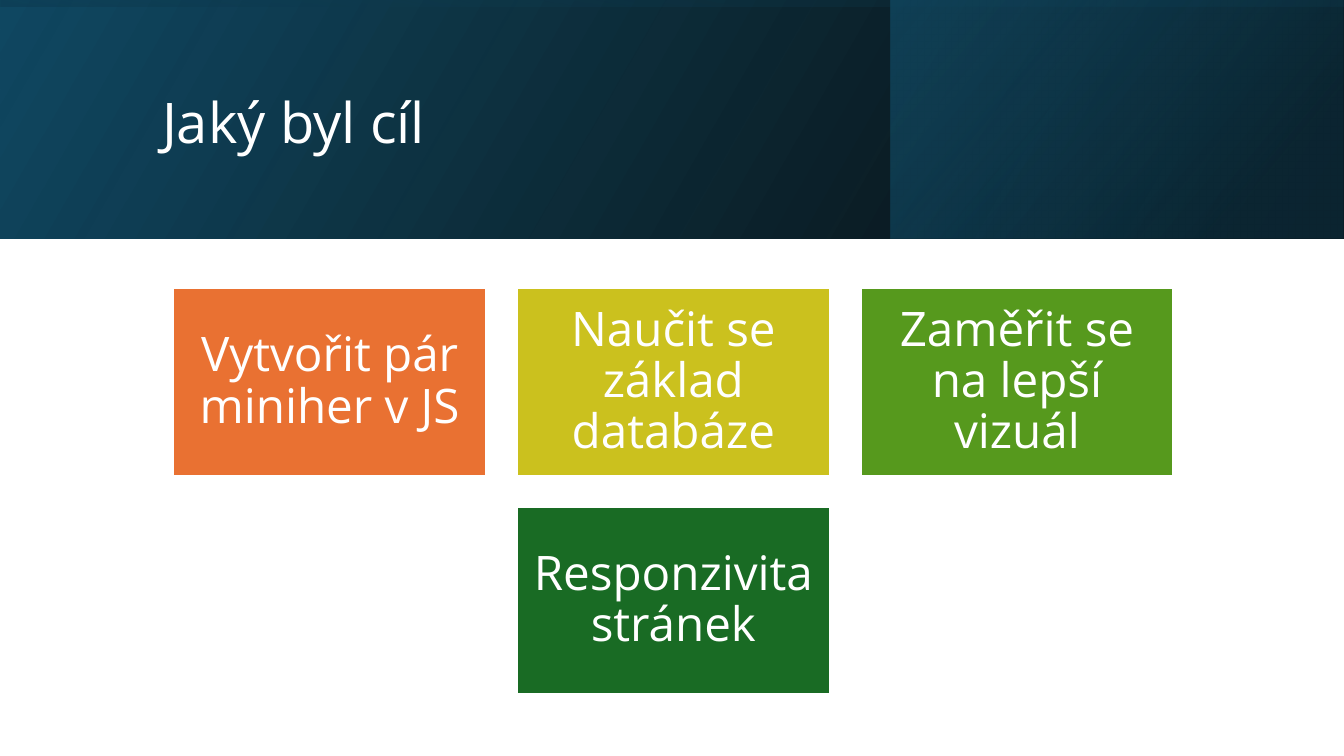
import pptx
import pptx.util
import pptx.oxml
import pptx.dml.color
import pptx.enum.text
import pptx.enum.shapes
from pptx.oxml.ns import nsdecls

Pt = pptx.util.Pt
RGB = pptx.dml.color.RGBColor.from_string
RECT = pptx.enum.shapes.MSO_SHAPE.RECTANGLE
ALIGN = pptx.enum.text.PP_ALIGN
MIDDLE = pptx.enum.text.MSO_ANCHOR.MIDDLE

TITLE = "Jaký byl cíl"
ROWS = [
    [("Vytvořit pár miniher v JS", "orange"),
     ("Naučit se základ databáze", "lime"),
     ("Zaměřit se na lepší vizuál", "green")],
    [("Responzivita stránek", "forest")],
]
THEME = {
    "font": "Open Sans", "title": 40, "tile": 34,
    "white": "FFFFFF", "black": "000000", "teal": "104862",
    "navy": "0B3041", "blue": "156082",
    "orange": "E97132", "lime": "CBC11E", "green": "56991D", "forest": "196B24",
}
WIDE, HIGH = 960, 540
BAND, SEAM = 170.64, 636.5
LAYERS = [
    ((0, 0, WIDE, BAND), 0, 330, [(0, "black", 96), (100, "teal", 100)]),
    ((SEAM, 0, WIDE - SEAM, BAND), 0, 320, [(19, "navy", 68), (100, "blue", 48)]),
    (((WIDE - BAND) / 2, (BAND - WIDE) / 2, BAND, WIDE), 270, 350,
     [(23, "teal", 16), (99, "black", 45)]),
]
HEAD = (108.7, 27.4, 765.4, 123.8)
MID, TOP = 481, 206
TILE_W, TILE_H, GAP = 223.2, 133.9, 22.3
INSET = 10.1


def add_rect(slide, box):
    shape = slide.shapes.add_shape(RECT, *map(Pt, box))
    shape.shadow.inherit = False
    return shape


def add_layer(slide, box, turn, angle, stops):
    shape = add_rect(slide, box)
    shape.line.fill.background()
    shape.rotation = turn
    props = shape.element.spPr
    props.xfrm.set("flipH", "1")
    marks = "".join(
        f'<a:gs pos="{pos * 1000}"><a:srgbClr val="{THEME[tone]}">'
        f'<a:alpha val="{alpha * 1000}"/></a:srgbClr></a:gs>'
        for pos, tone, alpha in stops)
    fill = pptx.oxml.parse_xml(
        f'<a:gradFill {nsdecls("a")} rotWithShape="1"><a:gsLst>{marks}</a:gsLst>'
        f'<a:lin ang="{angle * 60000}" scaled="0"/></a:gradFill>')
    props.prstGeom.addnext(fill)


def add_text(shape, text, size, align):
    frame = shape.text_frame
    frame.word_wrap = True
    frame.vertical_anchor = MIDDLE
    para = frame.paragraphs[0]
    para.alignment = align
    para.line_spacing = 0.9
    run = para.add_run()
    run.text = text
    run.font.name = THEME["font"]
    run.font.size = Pt(THEME[size])
    run.font.color.rgb = RGB(THEME["white"])
    return frame


def add_tile(slide, left, top, text, tone):
    tile = add_rect(slide, (left, top, TILE_W, TILE_H))
    tile.fill.solid()
    tile.fill.fore_color.rgb = RGB(THEME[tone])
    tile.line.color.rgb = RGB(THEME["white"])
    tile.line.width = Pt(1.5)
    frame = add_text(tile, text, "tile", ALIGN.CENTER)
    frame.margin_left = frame.margin_right = Pt(INSET)
    frame.margin_top = frame.margin_bottom = Pt(INSET)


def main():
    deck = pptx.Presentation()
    deck.slide_width, deck.slide_height = Pt(WIDE), Pt(HIGH)
    slide = deck.slides.add_slide(deck.slide_layouts[6])
    for layer in LAYERS:
        add_layer(slide, *layer)
    title = slide.shapes.add_textbox(*map(Pt, HEAD))
    add_text(title, TITLE, "title", ALIGN.LEFT)
    for line, row in enumerate(ROWS):
        start = MID - (len(row) * (TILE_W + GAP) - GAP) / 2
        top = TOP + line * (TILE_H + GAP)
        for col, (text, tone) in enumerate(row):
            add_tile(slide, start + col * (TILE_W + GAP), top, text, tone)
    deck.save("out.pptx")


if __name__ == "__main__":
    main()
